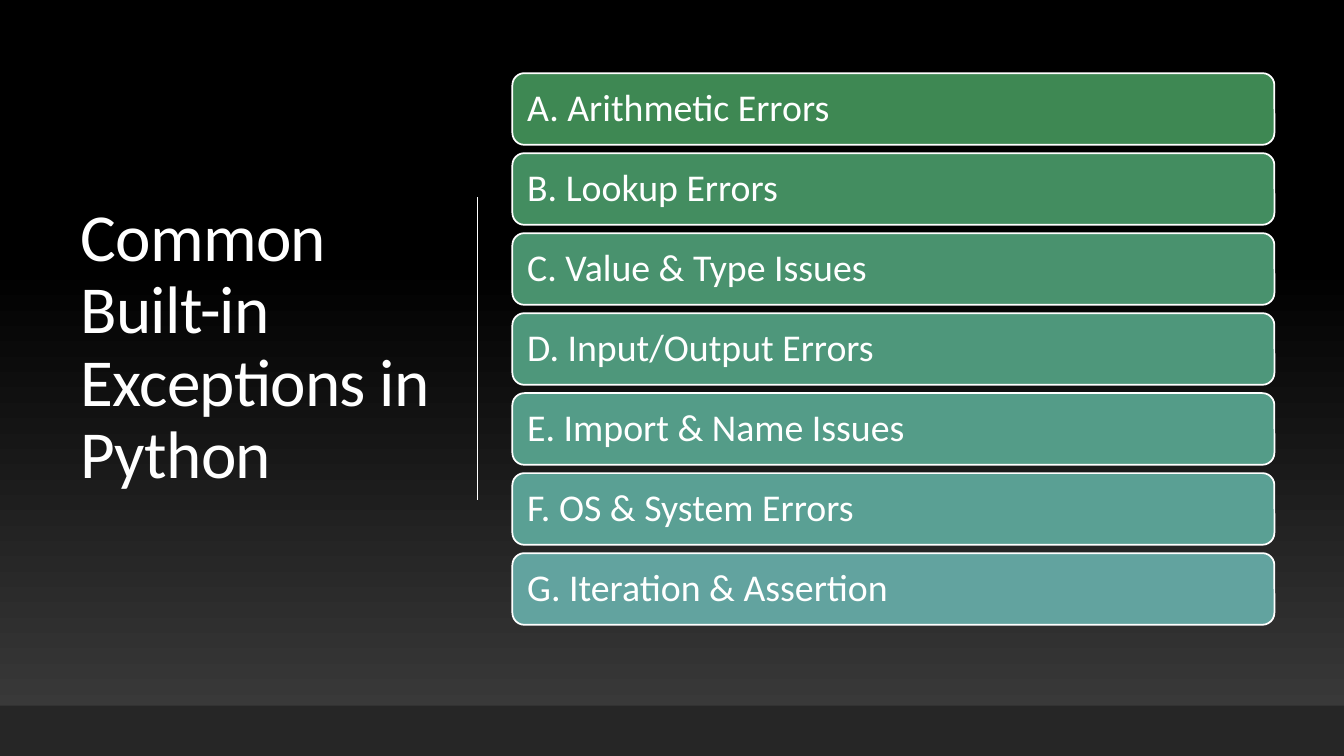
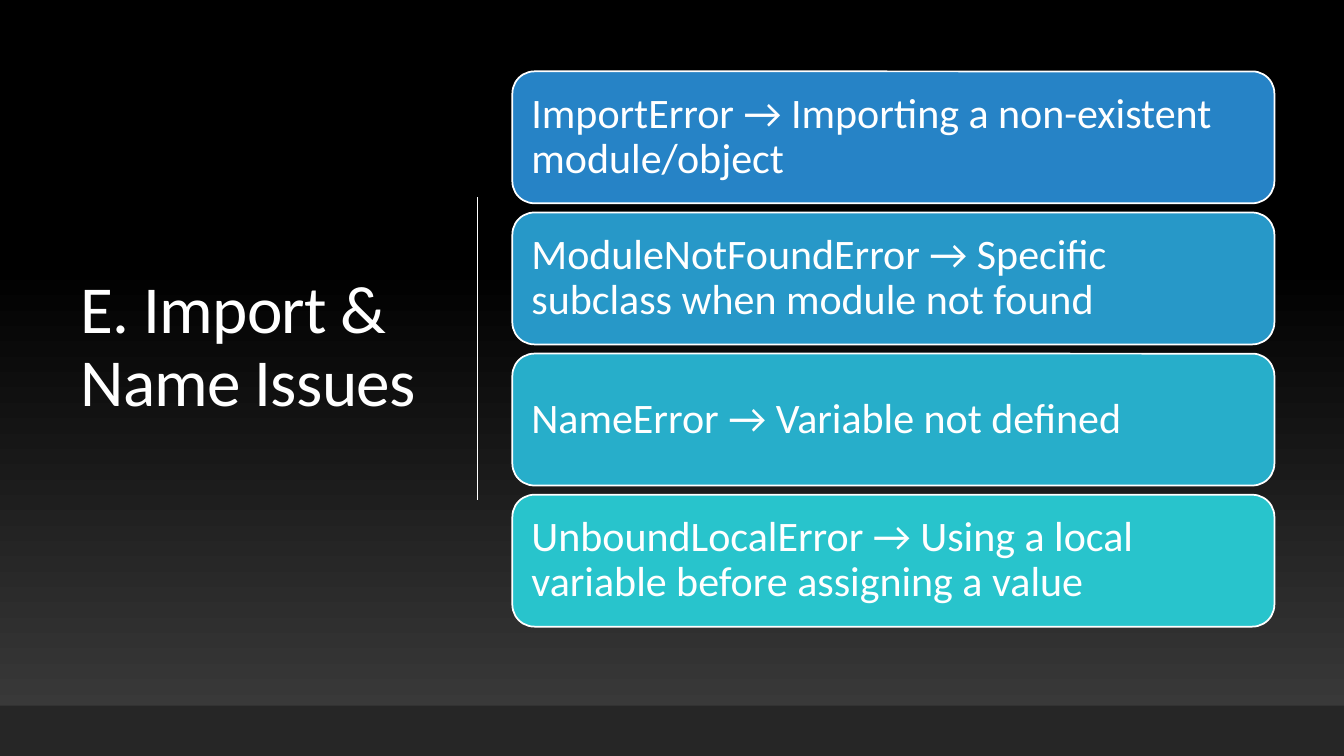
from lxml.etree import SubElement
from pptx import Presentation
from pptx.dml.color import RGBColor
from pptx.enum.shapes import MSO_CONNECTOR as Connector, MSO_SHAPE as Shape
from pptx.enum.text import MSO_ANCHOR as Anchor, PP_ALIGN as Align
from pptx.oxml.ns import qn
from pptx.util import Pt

WIDTH, HEIGHT = 960, 540
FONT = "Calibri"
WHITE = RGBColor(0xFF, 0xFF, 0xFF)
BLACK = RGBColor(0x00, 0x00, 0x00)
GLOW_GREY = RGBColor(0x3F, 0x3F, 0x3F)
BAND_GREY = RGBColor(0x26, 0x26, 0x26)
GREENS = [
    RGBColor(0x3E, 0x88, 0x53), RGBColor(0x43, 0x8D, 0x60),
    RGBColor(0x49, 0x92, 0x6E), RGBColor(0x4E, 0x97, 0x7B),
    RGBColor(0x54, 0x9C, 0x88), RGBColor(0x5A, 0xA0, 0x94),
    RGBColor(0x62, 0xA3, 0x9F),
]
BLUES = [
    RGBColor(0x26, 0x83, 0xC6), RGBColor(0x27, 0x98, 0xC8),
    RGBColor(0x27, 0xAE, 0xCA), RGBColor(0x28, 0xC4, 0xCC),
]

BARS_LEFT, BARS_WIDTH, BARS_MIDDLE = 366, 544.3, 249.3

SLIDES = [
    {
        "title": "Common Built-in Exceptions in Python",
        "colors": GREENS, "size": 27, "height": 51.2,
        "labels": [
            "A. Arithmetic Errors",
            "B. Lookup Errors",
            "C. Value & Type Issues",
            "D. Input/Output Errors",
            "E. Import & Name Issues",
            "F. OS & System Errors",
            "G. Iteration & Assertion",
        ],
    },
    {
        "title": "E. Import & Name Issues",
        "colors": BLUES, "size": 30, "height": 94.2,
        "labels": [
            "ImportError → Importing a non-existent module/object",
            "ModuleNotFoundError → Specific subclass when module not found",
            "NameError → Variable not defined",
            "UnboundLocalError → Using a local variable before assigning a value",
        ],
    },
]


def apply_format(target, values):
    for name, value in values.items():
        setattr(target, name, value)


class Deck:
    def __init__(self):
        self.presentation = Presentation()
        self.presentation.slide_width = Pt(WIDTH)
        self.presentation.slide_height = Pt(HEIGHT)
        self.slide = None

    def add_slide(self, title):
        """Start a slide with the shared background, title, divider and band."""
        self.slide = self.presentation.slides.add_slide(
            self.presentation.slide_layouts[6])
        self.background()
        self.title(title)
        self.divider()
        self.band()

    def background(self):
        fill = self.slide.background.fill
        fill.gradient()
        fill.gradient_angle = 90
        stops = [(0, GLOW_GREY), (0.65, BLACK)]
        for stop, (position, color) in zip(fill.gradient_stops, stops):
            stop.position = position
            stop.color.rgb = color

    def put_text(self, shape, text, size, **frame_format):
        """Put one left-aligned white paragraph into the shape."""
        frame = shape.text_frame
        apply_format(frame, {"word_wrap": True,
                             "vertical_anchor": Anchor.MIDDLE, **frame_format})
        paragraph = frame.paragraphs[0]
        apply_format(paragraph, {"alignment": Align.LEFT, "line_spacing": 0.9})
        run = paragraph.add_run()
        run.text = text
        apply_format(run.font, {"name": FONT, "size": Pt(size)})
        run.font.color.rgb = WHITE
        return run

    def title(self, text):
        box = self.slide.shapes.add_textbox(
            Pt(50.4), Pt(49.7), Pt(265.7), Pt(398.2))
        run = self.put_text(box, text, 48)
        run.font._element.set("spc", "-50")

    def divider(self):
        line = self.slide.shapes.add_connector(
            Connector.STRAIGHT, Pt(341.3), Pt(141), Pt(341.3), Pt(357))
        line.line.color.rgb = WHITE
        line.line.width = Pt(1)
        SubElement(line._element.spPr, qn("a:effectLst"))

    def shape(self, kind, left, top, width, height, color):
        shape = self.slide.shapes.add_shape(
            kind, Pt(left), Pt(top), Pt(width), Pt(height))
        shape.shadow.inherit = False
        shape.fill.solid()
        shape.fill.fore_color.rgb = color
        shape.line.fill.background()
        return shape

    def band(self):
        self.shape(Shape.RECTANGLE, 0, HEIGHT - 36, WIDTH, 36, BAND_GREY)

    def bars(self, labels, colors, size, height):
        """Stack the bars around their middle; gap and inset follow the text size."""
        pitch = height + 0.22 * size
        first_top = BARS_MIDDLE - (pitch * (len(labels) - 1) + height) / 2
        inset = Pt(0.3 * size)
        margins = {f"margin_{side}": inset
                   for side in ("left", "top", "right", "bottom")}
        for index, (label, color) in enumerate(zip(labels, colors)):
            bar = self.shape(Shape.ROUNDED_RECTANGLE, BARS_LEFT,
                             first_top + index * pitch, BARS_WIDTH, height, color)
            bar.line.color.rgb = WHITE
            bar.line.width = Pt(1.25)
            self.put_text(bar, label, size, **margins)


def main():
    deck = Deck()
    for content in SLIDES:
        deck.add_slide(content["title"])
        deck.bars(content["labels"], content["colors"],
                  content["size"], content["height"])
    deck.presentation.save("out.pptx")


if __name__ == "__main__":
    main()
